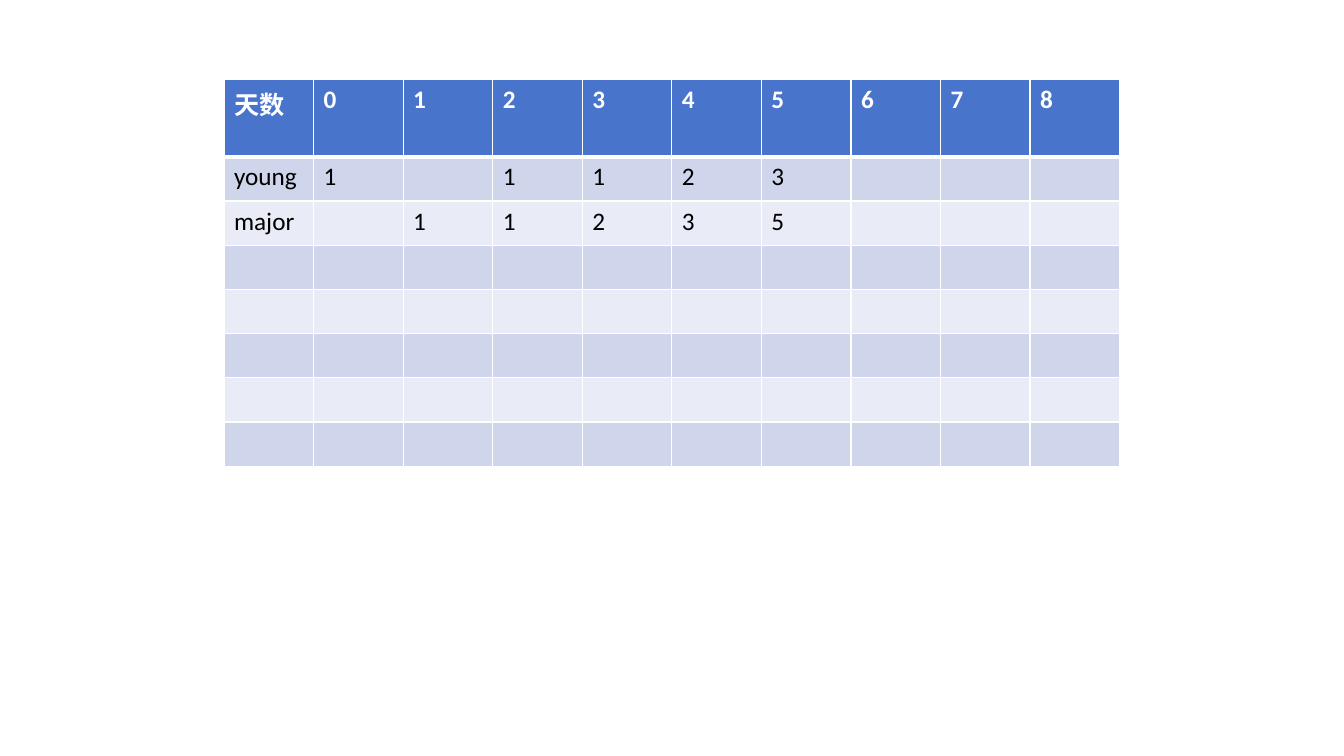
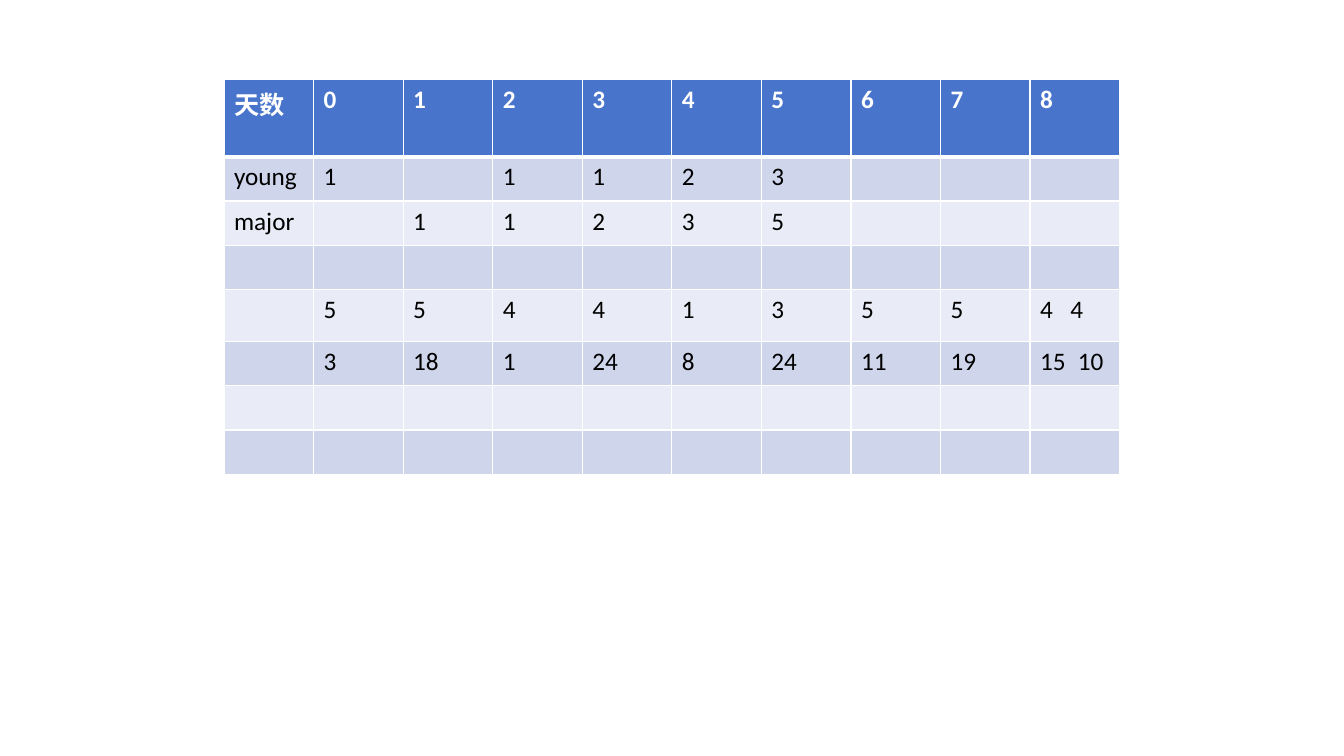
from lxml import etree
from pptx import Presentation
from pptx.dml.color import RGBColor
from pptx.oxml import ns
from pptx.util import Pt

WHITE = RGBColor(0xFF, 0xFF, 0xFF)
BLACK = RGBColor(0, 0, 0)
HEADER_BLUE = RGBColor(0x48, 0x74, 0xCB)
BAND_DARK = RGBColor(0xCF, 0xD6, 0xEC)
BAND_LIGHT = RGBColor(0xE9, 0xEB, 0xF6)

FONT = "Calibri"
TABLE_BOX = (160, 57, 640)
HEADER_HEIGHT = 55
ROW_HEIGHT = 31.6
TALL_ROW_HEIGHT = 37.2
THIN, THICK = 1, 3

DAYS = ["天数", *"012345678"]
YOUNG = ["young", "1", "", "1", "1", "2", "3", "", "", ""]
MAJOR = ["major", "", "1", "1", "2", "3", "5", "", "", ""]
MONTHS = ["", "5", "5", "4", "4", "1", "3", "5", "5", "4\t4"]
DATES = ["", "3", "18", "1", "24", "8", "24", "11", "19", "15\t10"]
EMPTY = [""] * len(DAYS)
TAB_STOPS = {"4\t4": 21.5, "15\t10": 27}


def write(cell, text, size=18, color=BLACK, bold=False, tab_stop=None):
    """Put formatted text into a cell, with an optional tab stop."""
    paragraph = cell.text_frame.paragraphs[0]
    run = paragraph.add_run()
    run.text = text
    run.font.name = FONT
    run.font.size = Pt(size)
    run.font.bold = bold
    run.font.color.rgb = color
    if tab_stop:
        stops = etree.SubElement(paragraph._p.get_or_add_pPr(), ns.qn("a:tabLst"))
        etree.SubElement(stops, ns.qn("a:tab"), pos=str(Pt(tab_stop)), algn="l")


def border(cell, top=THIN, bottom=THIN):
    """Draw white lines on the four sides of a cell."""
    properties = cell._tc.get_or_add_tcPr()
    for side, width in (("L", THIN), ("R", THIN), ("T", top), ("B", bottom)):
        line = etree.SubElement(properties, ns.qn(f"a:ln{side}"), w=str(Pt(width)))
        fill = etree.SubElement(line, ns.qn("a:solidFill"))
        etree.SubElement(fill, ns.qn("a:srgbClr"), val=str(WHITE))


def paint(cell, color):
    """Fill a cell with one colour."""
    cell.fill.solid()
    cell.fill.fore_color.rgb = color


def day_table(slide, box, rows, tall_row=None):
    """Place the table of days in a box given as left, top and width."""
    left, top, width = box
    heights = [HEADER_HEIGHT] + [ROW_HEIGHT] * (len(rows) - 1)
    if tall_row:
        heights[tall_row] = TALL_ROW_HEIGHT
    table = slide.shapes.add_table(
        len(rows), len(DAYS), Pt(left), Pt(top), Pt(width), Pt(sum(heights))
    ).table
    for column in table.columns:
        column.width = Pt(width / len(DAYS))
    for index, (values, height) in enumerate(zip(rows, heights)):
        table.rows[index].height = Pt(height)
        is_header = index == 0
        band = BAND_DARK if index % 2 else BAND_LIGHT
        for cell, value in zip(table.rows[index].cells, values):
            border(cell, top=THICK if index == 1 else THIN,
                   bottom=THICK if is_header else THIN)
            paint(cell, HEADER_BLUE if is_header else band)
            if value:
                write(cell, value, bold=is_header,
                      color=WHITE if is_header else BLACK,
                      tab_stop=TAB_STOPS.get(value))


def main():
    """Build both slides and save the deck."""
    deck = Presentation()
    deck.slide_width, deck.slide_height = Pt(960), Pt(540)
    counts = [DAYS, YOUNG, MAJOR, EMPTY]
    contents = [
        (counts + [EMPTY] * 4, None),
        (counts + [MONTHS, DATES, EMPTY, EMPTY], counts.index(EMPTY) + 1),
    ]
    for rows, tall_row in contents:
        slide = deck.slides.add_slide(deck.slide_layouts[6])
        day_table(slide, TABLE_BOX, rows, tall_row)
    deck.save("out.pptx")


if __name__ == "__main__":
    main()
